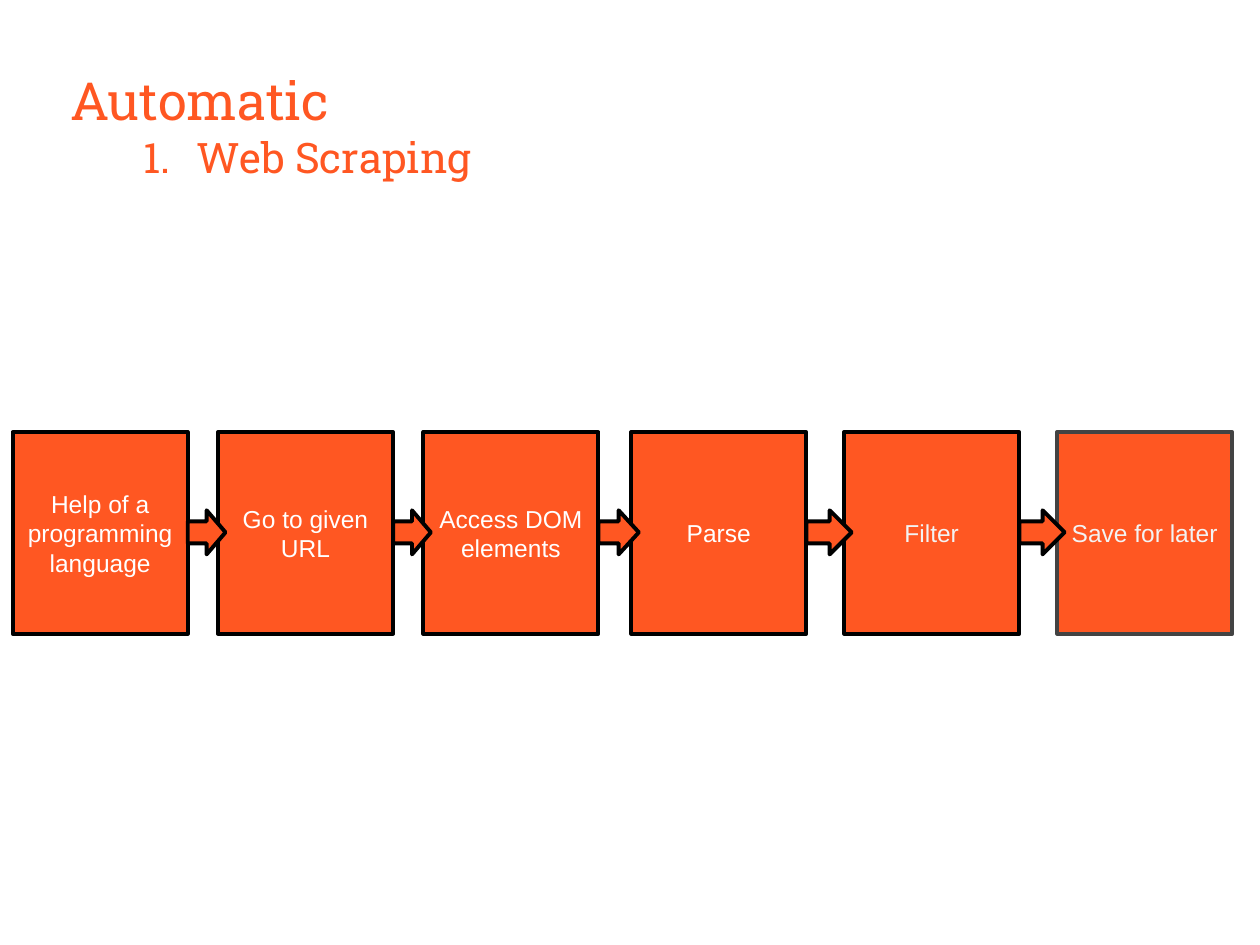
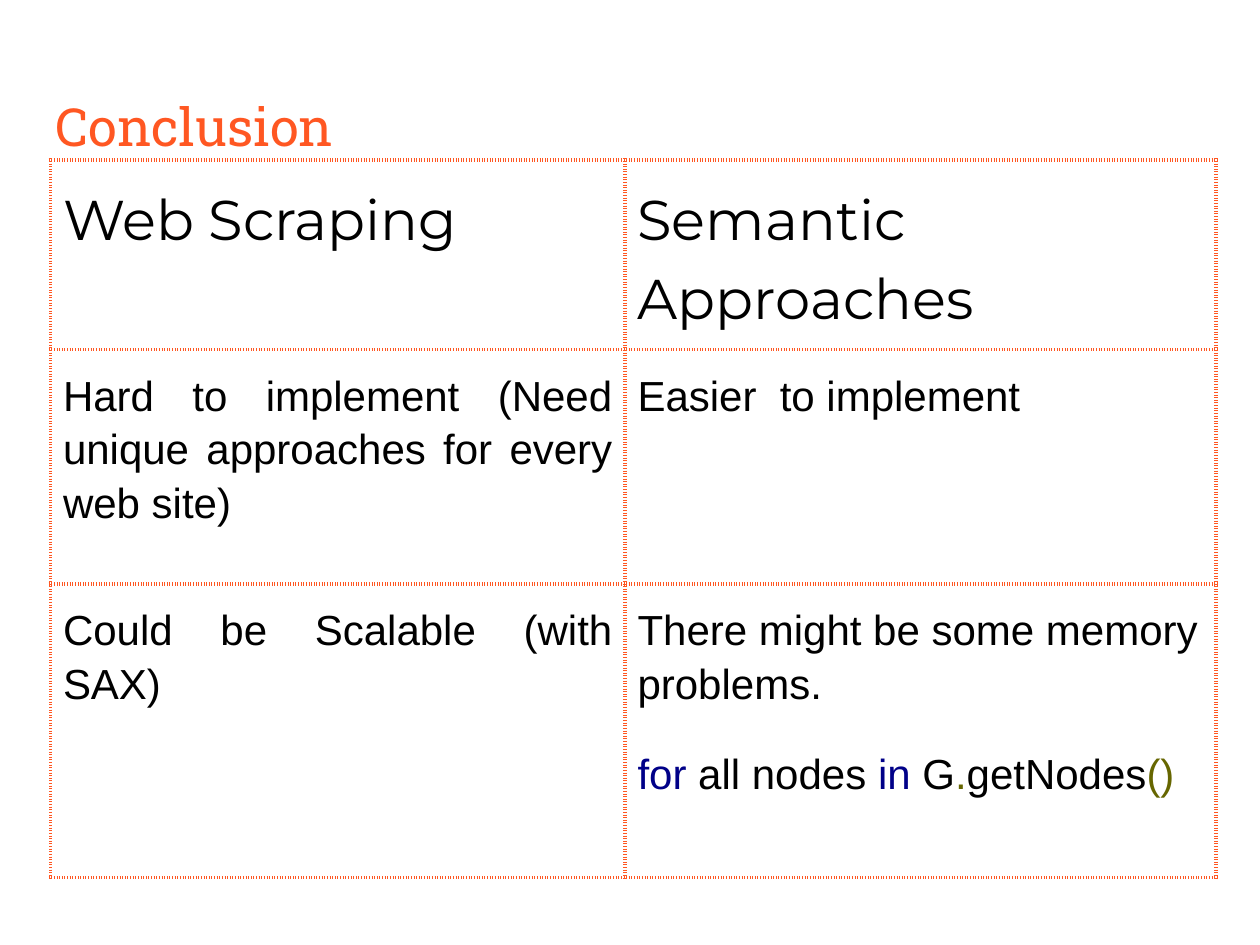
from lxml.etree import SubElement
from pptx import Presentation
from pptx.dml.color import RGBColor
from pptx.enum.shapes import MSO_SHAPE
from pptx.enum.text import MSO_ANCHOR, MSO_AUTO_SIZE, PP_ALIGN
from pptx.oxml.ns import qn
from pptx.util import Inches, Pt

ORANGE, BLACK, WHITE = "FF5722", "000000", "FFFFFF"
PALE, GREY, NAVY, OLIVE = "F3F3F3", "434343", "000088", "666600"
TITLE_FONT, HEAD_FONT, BODY_FONT = "Roboto Slab", "Montserrat", "Arial"

STEPS = [
    ("Help of a programming language", 0.1, WHITE, BLACK),
    ("Go to given URL", 1.73, WHITE, BLACK),
    ("Access DOM elements", 3.36, WHITE, BLACK),
    ("Parse", 5.01, WHITE, BLACK),
    ("Filter", 6.7, PALE, BLACK),
    ("Save for later", 8.39, PALE, GREY),
]
STEP_TOP, STEP_WIDTH, STEP_HEIGHT = 3.43, 1.39, 1.6
ARROW_TOP, ARROW_HEIGHT, ARROW_OVERLAP = 4.05, 0.35, 0.06

HEADINGS = ["Web Scraping", "Semantic Approaches"]
COMPARISONS = [
    ["Hard to implement (Need unique approaches for every web site)",
     "Easier  to implement"],
    ["Could be Scalable (with SAX)", "There might be some memory problems."],
]
LOOP_CODE = [("for", NAVY), (" all nodes ", BLACK), ("in", NAVY), (" G", BLACK),
             (".", OLIVE), ("getNodes", BLACK), ("()", OLIVE)]
COLUMN_WIDTHS = [4.56, 4.69]
ROW_HEIGHTS = [1.4, 1.86, 2.33]


def color(value):
    """Turn a hex string into a colour."""
    return RGBColor.from_string(value)


def write(para, text, font=BODY_FONT, size=24, ink=BLACK, align=PP_ALIGN.LEFT,
          line=None, after=None):
    """Add a formatted span to a paragraph."""
    para.alignment = align
    if line is not None:
        para.line_spacing = line
    if after is not None:
        para.space_after = Pt(after)
    span = para.add_run()
    span.text = text
    span.font.name = font
    span.font.size = Pt(size)
    span.font.color.rgb = color(ink)


def set_margins(holder, across=0.1, down=0.1):
    """Set the inner margins of a text frame or table cell."""
    holder.margin_left = holder.margin_right = Inches(across)
    holder.margin_top = holder.margin_bottom = Inches(down)


def add_page(deck, title, left, top, height):
    """Add a page with its title placed and formatted."""
    page = deck.slides.add_slide(deck.slide_layouts[5])
    box = page.shapes.title
    box.left, box.top = Inches(left), Inches(top)
    box.width, box.height = Inches(9.32), Inches(height)
    frame = box.text_frame
    frame.word_wrap = True
    frame.auto_size = MSO_AUTO_SIZE.NONE
    frame.vertical_anchor = MSO_ANCHOR.TOP
    set_margins(frame)
    write(frame.paragraphs[0], title, TITLE_FONT, 30, ORANGE)
    return page


def number(para):
    """Give a paragraph an orange automatic number and hanging indent."""
    properties = para._p.get_or_add_pPr()
    properties.set("marL", str(Inches(1)))
    properties.set("indent", str(Inches(-0.42)))
    tint = SubElement(properties, qn("a:buClr"))
    SubElement(tint, qn("a:srgbClr"), val=ORANGE)
    SubElement(properties, qn("a:buFont"), typeface=TITLE_FONT)
    SubElement(properties, qn("a:buAutoNum"), type="arabicPeriod")


def add_block(page, kind, left, top, width, height, outline=BLACK):
    """Add an orange outlined shape."""
    block = page.shapes.add_shape(kind, Inches(left), Inches(top),
                                  Inches(width), Inches(height))
    block.shadow.inherit = False
    block.fill.solid()
    block.fill.fore_color.rgb = color(ORANGE)
    block.line.color.rgb = color(outline)
    block.line.width = Pt(2.25)
    return block


def style_cell(cell):
    """Give a cell dotted orange borders, margins and no fill."""
    set_margins(cell, down=0.13)
    properties = cell._tc.get_or_add_tcPr()
    for side in ("lnL", "lnR", "lnT", "lnB"):
        border = SubElement(properties, qn(f"a:{side}"), w=str(Pt(2.25)))
        paint = SubElement(border, qn("a:solidFill"))
        SubElement(paint, qn("a:srgbClr"), val=ORANGE)
        SubElement(border, qn("a:prstDash"), val="dot")
    cell.fill.background()


def build_scraping(deck):
    """Build the page with the chain of scraping steps."""
    page = add_page(deck, "Automatic", 0.46, 0.44, 1.33)
    para = page.shapes.title.text_frame.add_paragraph()
    number(para)
    write(para, "Web Scraping", TITLE_FONT, 24, ORANGE)
    for text, left, ink, outline in STEPS:
        block = add_block(page, MSO_SHAPE.RECTANGLE, left, STEP_TOP,
                          STEP_WIDTH, STEP_HEIGHT, outline)
        frame = block.text_frame
        frame.word_wrap = True
        frame.vertical_anchor = MSO_ANCHOR.MIDDLE
        set_margins(frame)
        write(frame.paragraphs[0], text, size=14, ink=ink, align=PP_ALIGN.CENTER)
    for (_, left, *_), (_, following, *_) in zip(STEPS, STEPS[1:]):
        start = left + STEP_WIDTH
        add_block(page, MSO_SHAPE.RIGHT_ARROW, start, ARROW_TOP,
                  following - start + ARROW_OVERLAP, ARROW_HEIGHT)


def build_conclusion(deck):
    """Build the page with the comparison table."""
    page = add_page(deck, "Conclusion", 0.34, 0.65, 0.83)
    table = page.shapes.add_table(
        len(ROW_HEIGHTS), len(COLUMN_WIDTHS), Inches(0.4), Inches(1.27),
        Inches(sum(COLUMN_WIDTHS)), Inches(sum(ROW_HEIGHTS))).table
    table.first_row = table.horz_banding = False
    for column, width in zip(table.columns, COLUMN_WIDTHS):
        column.width = Inches(width)
    for row, height in zip(table.rows, ROW_HEIGHTS):
        row.height = Inches(height)
    for cell in table.iter_cells():
        style_cell(cell)
    for cell, text in zip(table.rows[0].cells, HEADINGS):
        write(cell.text_frame.paragraphs[0], text, HEAD_FONT, 32,
              line=1.15, after=21)
    for index, texts in enumerate(COMPARISONS, 1):
        for cell, text in zip(table.rows[index].cells, texts):
            write(cell.text_frame.paragraphs[0], text,
                  align=PP_ALIGN.JUSTIFY, line=1.15)
    frame = table.cell(2, 1).text_frame
    memory = frame.paragraphs[0]
    memory.alignment = PP_ALIGN.LEFT
    memory.space_after = Pt(21)
    loop = frame.add_paragraph()
    for text, ink in LOOP_CODE:
        write(loop, text, ink=ink, line=1.15, after=21)


def main():
    """Build and save the deck."""
    deck = Presentation()
    deck.slide_width, deck.slide_height = Inches(10), Inches(7.5)
    build_scraping(deck)
    build_conclusion(deck)
    deck.save("out.pptx")


if __name__ == "__main__":
    main()
